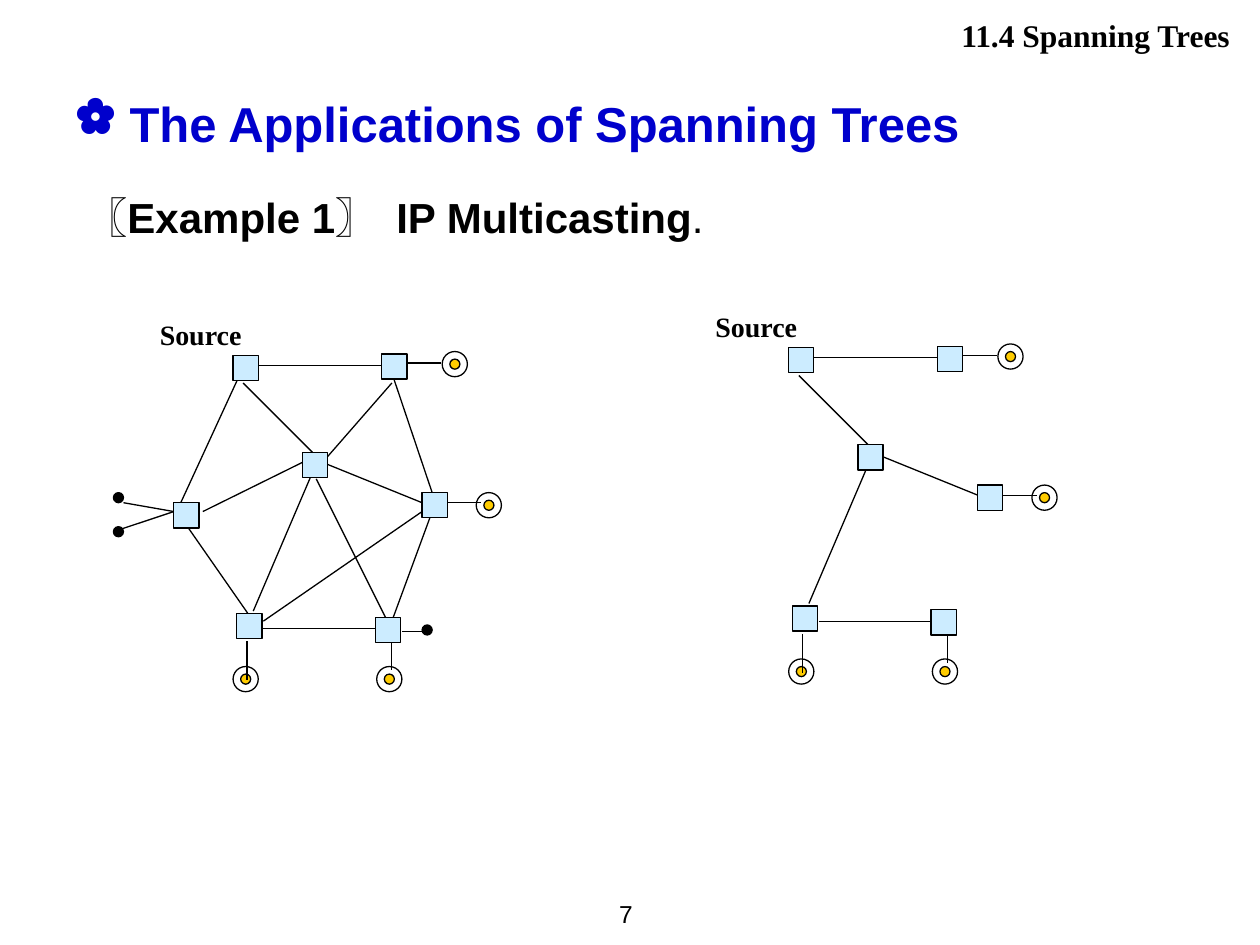
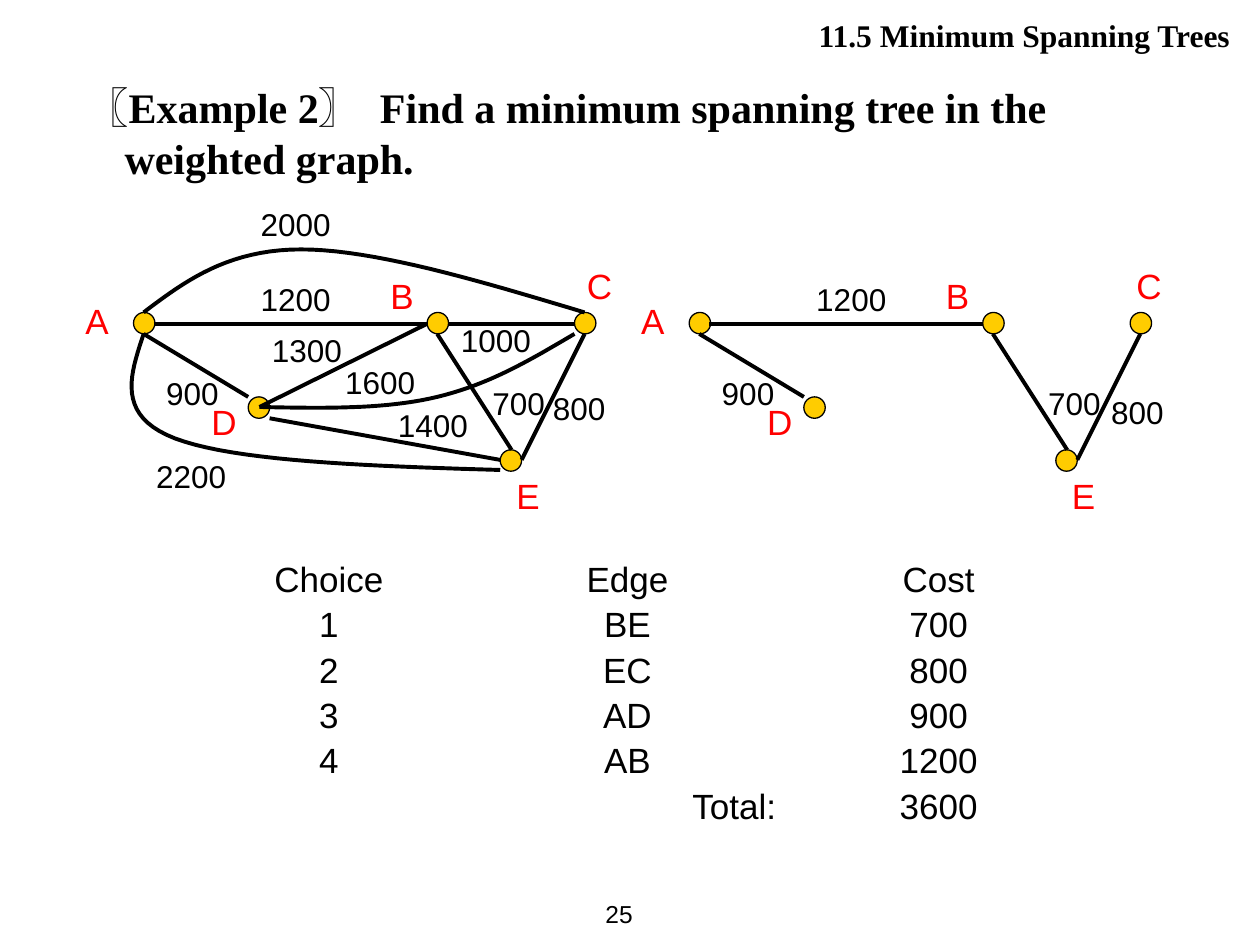
from dataclasses import dataclass

from lxml.etree import SubElement
from pptx import Presentation
from pptx.dml.color import RGBColor as Rgb
from pptx.enum.shapes import MSO_CONNECTOR as Connector, MSO_SHAPE as Preset
from pptx.enum.text import MSO_ANCHOR as Anchor, PP_ALIGN as Align
from pptx.oxml.ns import qn
from pptx.util import Emu, Pt

PX = 9144
PAIR_SHIFT = 441

ROUTERS = [(185, 282), (240, 359), (335, 391), (188, 487), (298, 490), (303, 281)]
HOSTS = [(351, 279), (378, 391), (299, 529), (185, 529)]
TREE_LINKS = [
    (204, 290, 306, 290), (193, 304, 248, 359), (256, 367, 335, 399),
    (209, 499, 303, 499), (248, 375, 201, 485), (319, 288, 350, 288),
    (350, 399, 382, 399), (196, 509, 196, 540), (311, 509, 311, 532),
]
EXTRA_LINKS = [
    (311, 304, 256, 367), (251, 380, 306, 490), (343, 406, 311, 493),
    (190, 298, 143, 400), (146, 414, 201, 493), (209, 493, 335, 406),
    (161, 406, 240, 367), (311, 296, 343, 391), (319, 501, 335, 501),
    (98, 399, 138, 406), (138, 406, 90, 422),
]
EXTRA_ROUTERS = [(138, 399)]
IDLE_HOSTS = [(90, 391), (90, 418), (335, 496)]

CITIES = [(106, 248), (339, 248), (456, 248), (197, 315), (397, 357)]
CITY_NAMES = {"A": (58, 233), "B": (300, 213), "C": (456, 205),
              "D": (158, 313), "E": (400, 372)}
MINIMUM_EDGES = [(122, 257, 339, 257), (114, 265, 197, 315),
                 (414, 365, 464, 265), (347, 265, 406, 357)]
EXTRA_EDGES = [(356, 257, 456, 257), (214, 332, 397, 365), (206, 323, 339, 257)]
MINIMUM_COSTS = [("1200", 197, 217), ("900", 122, 292), ("700", 381, 300)]
EXTRA_COSTS = [("2000", 197, 158), ("1000", 356, 250), ("1300", 206, 258),
               ("1600", 264, 283), ("1400", 306, 317), ("2200", 114, 358)]
CURVED_EDGES = [
    [(114, 248), (147, 223), (181, 198), (239, 198), (297, 198), (381, 223), (464, 248)],
    [(114, 265), (103, 298), (92, 330), (139, 348), (186, 366), (292, 370), (397, 373)],
    [(206, 323), (256, 324), (306, 325), (347, 315), (389, 305), (422, 285), (456, 265)],
]
CHOICES = [("Choice", "Edge", "Cost"), ("1", "BE", "700"), ("2", "EC", "800"),
           ("3", "AD", "900"), ("4", "AB", "1200"), ("", "Total:", "3600")]


@dataclass(frozen=True)
class Theme:
    """Colours, fonts and type sizes of the deck."""
    black: str = "000000"
    blue: str = "0000CC"
    red: str = "FF0000"
    gold: str = "FFCC00"
    sky: str = "CCECFF"
    sans: str = "Arial"
    serif: str = "Times New Roman"
    asian: str = "Noto Sans CJK SC"
    thin: float = 0.75
    thick: float = 2.25

    def type(self, kind):
        """Return the format values of one kind of text."""
        name, size, bold, color = {
            "title": (self.sans, 28, True, self.blue),
            "example": (self.sans, 24, True, self.black),
            "problem": (self.serif, 24, True, self.black),
            "header": (self.serif, 18, True, self.black),
            "source": (self.serif, 16, True, self.black),
            "cost": (self.sans, 18, False, self.black),
            "city": (self.sans, 20, False, self.red),
            "table": (self.sans, 20, False, self.black),
            "number": (self.sans, 14, False, self.black),
        }[kind]
        return {"name": name, "size": Pt(size), "bold": bold}, color


def scaled(*lengths):
    """Turn px into EMU."""
    return [Emu(round(length * PX)) for length in lengths]


def curve_points(controls, steps=20):
    """Return points along a chain of cubic curves."""
    points = [controls[0]]
    for start in range(0, len(controls) - 1, 3):
        segment = controls[start:start + 4]
        for step in range(1, steps + 1):
            t = step / steps
            weights = ((1 - t) ** 3, 3 * t * (1 - t) ** 2, 3 * t * t * (1 - t), t ** 3)
            points.append(tuple(sum(w * point[axis] for w, point in zip(weights, segment))
                                for axis in (0, 1)))
    return points


class Deck:
    """Holds the style and the current slide."""

    def __init__(self, theme):
        """Start an empty presentation."""
        self.theme = theme
        self.presentation = Presentation()
        self.presentation.slide_width, self.presentation.slide_height = scaled(1000, 750)
        self.slide = None

    def new_slide(self, header, number):
        """Add a slide with its header and number."""
        layout = self.presentation.slide_layouts[6]
        self.slide = self.presentation.slides.add_slide(layout)
        self.text((398, 8, 588, 40), header, "header", align=Align.RIGHT)
        self.text((445, 700, 67, 50), number, "number", align=Align.RIGHT,
                  anchor=Anchor.MIDDLE)

    def run(self, paragraph, text, kind, **changes):
        """Add a formatted run."""
        run = paragraph.add_run()
        run.text = text
        values, color = self.theme.type(kind)
        for name, value in {**values, **changes}.items():
            setattr(run.font, name, value)
        run.font.color.rgb = Rgb.from_string(color)
        SubElement(run.font._element, qn("a:ea"), typeface=self.theme.asian)

    def text(self, place, text, kind, align=Align.LEFT, anchor=Anchor.TOP):
        """Add a text box and return its paragraph."""
        frame = self.slide.shapes.add_textbox(*scaled(*place)).text_frame
        for name, value in {"word_wrap": True, "vertical_anchor": anchor}.items():
            setattr(frame, name, value)
        paragraph = frame.paragraphs[0]
        paragraph.alignment = align
        self.run(paragraph, text, kind)
        return paragraph

    def hang(self, paragraph, margin, indent, bullet=None):
        """Give a paragraph a hanging indent and perhaps a bullet."""
        properties = paragraph._p.get_or_add_pPr()
        for name, length in {"marL": margin, "indent": -indent}.items():
            properties.set(name, str(length * PX))
        if bullet:
            SubElement(properties, qn("a:buChar"), char=bullet)

    def outline(self, shape, width, fill=None):
        """Set the line and fill of a shape."""
        shape.shadow.inherit = False
        shape.line.color.rgb = Rgb.from_string(self.theme.black)
        shape.line.width = Pt(width)
        if fill:
            shape.fill.solid()
            shape.fill.fore_color.rgb = Rgb.from_string(fill)
        else:
            shape.fill.background()

    def shape(self, preset, left, top, size, fill=None):
        """Add a preset shape as wide as it is high."""
        shape = self.slide.shapes.add_shape(preset, *scaled(left, top, size, size))
        self.outline(shape, self.theme.thin, fill)

    def line(self, ends, width, dx=0, dy=0):
        """Add a straight line."""
        x1, y1, x2, y2 = ends
        line = self.slide.shapes.add_connector(
            Connector.STRAIGHT, *scaled(x1 + dx, y1 + dy, x2 + dx, y2 + dy))
        line.line.color.rgb = Rgb.from_string(self.theme.black)
        line.line.width = Pt(width)
        SubElement(line._element.spPr, qn("a:effectLst"))

    def curve(self, controls, width):
        """Add an open curved line."""
        start, *others = [scaled(*point) for point in curve_points(controls)]
        builder = self.slide.shapes.build_freeform(*start, scale=1.0)
        builder.add_line_segments(others, close=False)
        self.outline(builder.convert_to_shape(), width)

    def table(self, left, top, widths, row_height, rows):
        """Add a plain centred table."""
        place = scaled(left, top, sum(widths), row_height * len(rows))
        table = self.slide.shapes.add_table(len(rows), len(widths), *place).table
        for name in ("first_row", "horz_banding"):
            setattr(table, name, False)
        for column, width in zip(table.columns, widths):
            column.width = scaled(width)[0]
        for r, row in enumerate(rows):
            for c, value in enumerate(row):
                cell = table.cell(r, c)
                cell.fill.background()
                for name, length in {"margin_top": 0, "margin_bottom": 0}.items():
                    setattr(cell, name, length)
                paragraph = cell.text_frame.paragraphs[0]
                paragraph.alignment = Align.RIGHT if value == "Total:" else Align.CENTER
                self.run(paragraph, value, "table")

    def network(self, routers, links, idle_hosts=(), dx=0, dy=0):
        """Draw routers, hosts and the links between them."""
        for x, y in HOSTS:
            self.shape(Preset.OVAL, x + dx, y + dy, 20)
            self.shape(Preset.OVAL, x + dx + 6, y + dy + 6, 8, self.theme.gold)
        for x, y in idle_hosts:
            self.shape(Preset.OVAL, x + dx, y + dy, 8, self.theme.black)
        for link in links:
            self.line(link, self.theme.thin, dx, dy)
        for x, y in routers:
            self.shape(Preset.RECTANGLE, x + dx, y + dy, 20, self.theme.sky)
        self.text((117 + dx, 247 + dy, 110, 37), "Source", "source")

    def weighted_graph(self, edges, costs, names, dx=0):
        """Draw cities and the priced edges between them."""
        for x, y in CITIES:
            self.shape(Preset.OVAL, x + dx, y, 17, self.theme.gold)
        for edge in edges:
            self.line(edge, self.theme.thick, dx)
        for cost, x, y in costs:
            self.text((x + dx, y, 83, 40), cost, "cost")
        for name, (x, y) in names.items():
            self.text((x + dx, y, 50, 43), name, "city")


def multicast_slide(deck):
    """Build the slide on multicasting."""
    deck.new_slide("11.4 Spanning Trees", "7")
    title = deck.text((50, 69, 900, 77), "The Applications of Spanning Trees", "title")
    deck.hang(title, 43, 43, "✿")
    example = deck.text((50, 147, 915, 63), "〖Example 1〗  IP Multicasting", "example")
    deck.run(example, ".", "example", bold=False)
    deck.hang(example, 38, 30)
    deck.network(ROUTERS + EXTRA_ROUTERS, TREE_LINKS + EXTRA_LINKS, IDLE_HOSTS)
    deck.network(ROUTERS, TREE_LINKS, dx=PAIR_SHIFT, dy=-6)


def minimum_tree_slide(deck):
    """Build the slide on the minimum spanning tree."""
    deck.new_slide("11.5 Minimum Spanning Trees", "25")
    problem = deck.text(
        (51, 60, 882, 71),
        "〖Example 2〗  Find a minimum spanning tree in the weighted graph.", "problem")
    deck.hang(problem, 38, 30)
    deck.weighted_graph(MINIMUM_EDGES + EXTRA_EDGES,
                        MINIMUM_COSTS + EXTRA_COSTS + [("800", 429, 304)], CITY_NAMES)
    for controls in CURVED_EDGES:
        deck.curve(controls, deck.theme.thick)
    deck.weighted_graph(MINIMUM_EDGES, MINIMUM_COSTS + [("800", 431, 307)],
                        {**CITY_NAMES, "C": (451, 205)}, PAIR_SHIFT)
    deck.table(152, 445, (218, 256, 238), 36, CHOICES)


def main():
    """Build and save the deck."""
    deck = Deck(Theme())
    multicast_slide(deck)
    minimum_tree_slide(deck)
    deck.presentation.save("out.pptx")


if __name__ == "__main__":
    main()
